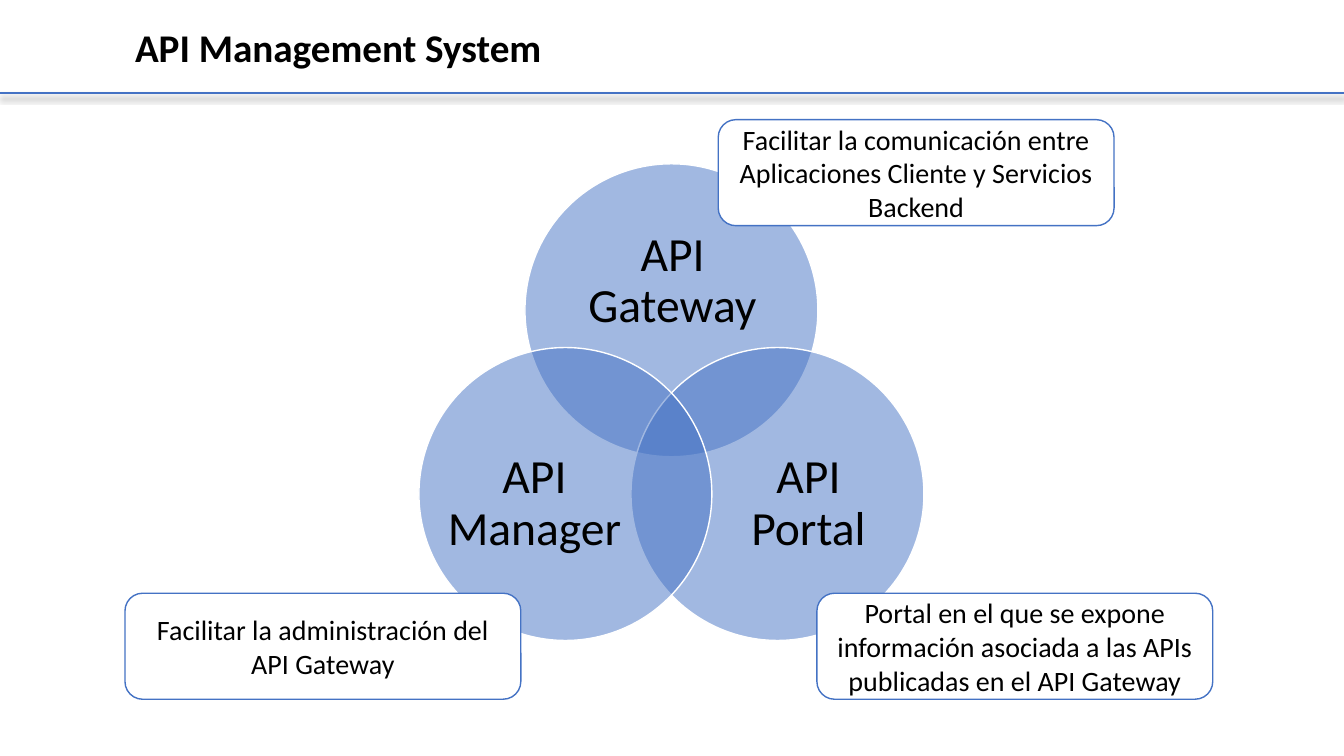
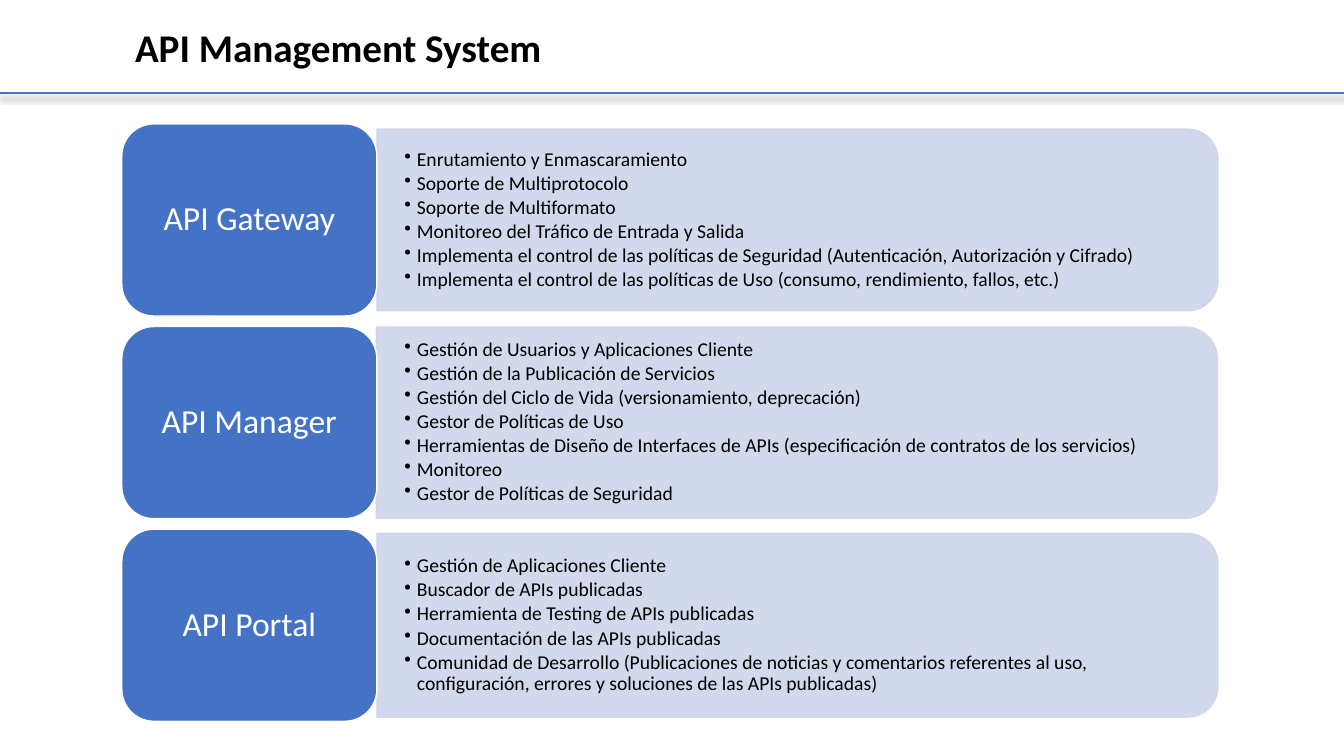
from dataclasses import dataclass

from lxml import etree
from pptx import Presentation
from pptx.dml.color import RGBColor
from pptx.enum.shapes import MSO_CONNECTOR, MSO_SHAPE
from pptx.enum.text import MSO_ANCHOR, MSO_AUTO_SIZE, PP_ALIGN
from pptx.oxml.ns import qn
from pptx.util import Emu, Pt

ELLIPSE, ROUNDED = MSO_SHAPE.OVAL, MSO_SHAPE.ROUNDED_RECTANGLE
TWO_ROUNDED = MSO_SHAPE.ROUND_2_SAME_RECTANGLE
STRAIGHT = MSO_CONNECTOR.STRAIGHT
LEFT, CENTER = PP_ALIGN.LEFT, PP_ALIGN.CENTER
TOP, MIDDLE = MSO_ANCHOR.TOP, MSO_ANCHOR.MIDDLE
NO_AUTOSIZE = MSO_AUTO_SIZE.NONE

FONT = "Calibri"
BLUE, PALE, BLACK, WHITE = "4472C4", "CFD5EA", "000000", "FFFFFF"
SLIDE_W, SLIDE_H = 1280, 720
TITLE = "API Management System"
RULE_Y = 89

CIRCLE_SIZE = 279
NOTE_W, NOTE_H = 377, 101
TAG_LEFT, TAG_TOP, TAG_W, TAG_H, TAG_GAP = 116, 118, 243, 183, 10
PANEL_LEFT, PANEL_W = TAG_LEFT + TAG_W, 801
PANEL_PADDING, BULLET_INDENT = 26, 12


@dataclass(frozen=True)
class Box:
    left: int
    top: int
    width: int
    height: int


@dataclass(frozen=True)
class Paint:
    fill: str
    line: str
    fill_alpha: int = 100
    line_alpha: int = 100


@dataclass(frozen=True)
class Component:
    name: str
    circle: Box
    label: Box
    note: Box
    purpose: str
    features: tuple[str, ...]


CIRCLE_PAINT = Paint(BLUE, WHITE, fill_alpha=50)
NOTE_PAINT = Paint(WHITE, BLUE)
TAG_PAINT = Paint(BLUE, WHITE)
PANEL_PAINT = Paint(PALE, PALE, fill_alpha=90, line_alpha=90)

GATEWAY = Component(
    "API Gateway",
    Box(500, 156, CIRCLE_SIZE, CIRCLE_SIZE),
    Box(538, 205, 205, 126),
    Box(684, 114, NOTE_W, NOTE_H),
    "Facilitar la comunicación entre Aplicaciones Cliente y Servicios Backend",
    (
        "Enrutamiento y Enmascaramiento",
        "Soporte de Multiprotocolo",
        "Soporte de Multiformato",
        "Monitoreo del Tráfico de Entrada y Salida",
        "Implementa el control de las políticas de Seguridad "
        "(Autenticación, Autorización y Cifrado)",
        "Implementa el control de las políticas de Uso "
        "(consumo, rendimiento, fallos, etc.)",
    ),
)
MANAGER = Component(
    "API Manager",
    Box(399, 331, CIRCLE_SIZE, CIRCLE_SIZE),
    Box(425, 403, 168, 154),
    Box(119, 565, NOTE_W, NOTE_H),
    "Facilitar la administración del API Gateway",
    (
        "Gestión de Usuarios y Aplicaciones Cliente",
        "Gestión de la Publicación de Servicios",
        "Gestión del Ciclo de Vida (versionamiento, deprecación)",
        "Gestor de Políticas de Uso",
        "Herramientas de Diseño de Interfaces de APIs "
        "(especificación de contratos de los servicios)",
        "Monitoreo",
        "Gestor de Políticas de Seguridad",
    ),
)
PORTAL = Component(
    "API Portal",
    Box(601, 331, CIRCLE_SIZE, CIRCLE_SIZE),
    Box(686, 403, 168, 154),
    Box(778, 565, NOTE_W, NOTE_H),
    "Portal en el que se expone información asociada a las APIs "
    "publicadas en el API Gateway",
    (
        "Gestión de Aplicaciones Cliente",
        "Buscador de APIs publicadas",
        "Herramienta de Testing de APIs publicadas",
        "Documentación de las APIs publicadas",
        "Comunidad de Desarrollo (Publicaciones de noticias y comentarios "
        "referentes al uso, configuración, errores y soluciones de las APIs publicadas)",
    ),
)
PANEL_HEIGHTS = {GATEWAY: 173, MANAGER: 182, PORTAL: 175}


def px(length: int) -> Emu:
    return Emu(length * 9525)


def rgb(value: str) -> RGBColor:
    return RGBColor.from_string(value)


def place(box: Box) -> tuple[Emu, Emu, Emu, Emu]:
    return px(box.left), px(box.top), px(box.width), px(box.height)


def set_alpha(parent, percent: int) -> None:
    """Make the solid fill directly inside parent translucent."""
    if percent < 100:
        color = parent.find(qn("a:solidFill")).find(qn("a:srgbClr"))
        etree.SubElement(color, qn("a:alpha"), val=str(percent * 1000))


def add_bullet(paragraph) -> None:
    properties = paragraph._p.get_or_add_pPr()
    properties.set("marL", str(px(BULLET_INDENT)))
    properties.set("indent", str(-px(BULLET_INDENT)))
    etree.SubElement(properties, qn("a:buChar"), char="•")


def write(frame, lines: tuple[str, ...], size: int, color: str = BLACK,
          align=CENTER, anchor=MIDDLE, spacing: float = 1.0,
          bold: bool = False, bulleted: bool = False) -> None:
    frame.word_wrap = True
    frame.auto_size = NO_AUTOSIZE
    frame.vertical_anchor = anchor
    for index, line in enumerate(lines):
        paragraph = frame.add_paragraph() if index else frame.paragraphs[0]
        paragraph.text = line
        if bulleted:
            add_bullet(paragraph)
            paragraph.space_after = Pt(2)
        paragraph.alignment = align
        paragraph.line_spacing = spacing
        font = paragraph.font
        font.name, font.size, font.bold = FONT, Pt(size), bold
        font.color.rgb = rgb(color)


def add_shape(slide, kind, box: Box, paint: Paint):
    shape = slide.shapes.add_shape(kind, *place(box))
    shape.shadow.inherit = False
    shape.fill.solid()
    shape.fill.fore_color.rgb = rgb(paint.fill)
    shape.line.color.rgb = rgb(paint.line)
    shape.line.width = Pt(1)
    properties = shape.element.spPr
    set_alpha(properties, paint.fill_alpha)
    set_alpha(properties.find(qn("a:ln")), paint.line_alpha)
    return shape


def add_text_frame(slide, box: Box, side_padding: int = 0):
    frame = slide.shapes.add_textbox(*place(box)).text_frame
    frame.margin_left = frame.margin_right = px(side_padding)
    frame.margin_top = frame.margin_bottom = 0
    return frame


def add_header_rule(slide) -> None:
    rule = slide.shapes.add_connector(STRAIGHT, 0, px(RULE_Y), px(SLIDE_W), px(RULE_Y))
    rule.line.color.rgb = rgb(BLUE)
    rule.line.width = Pt(1.5)
    effects = etree.SubElement(rule.element.spPr, qn("a:effectLst"))
    shadow = etree.SubElement(
        effects, qn("a:outerShdw"), blurRad=str(Pt(4)), dist=str(Pt(3)),
        dir=str(90 * 60000), algn="t", rotWithShape="0",
    )
    color = etree.SubElement(shadow, qn("a:srgbClr"), val=BLACK)
    etree.SubElement(color, qn("a:alpha"), val="40000")


def add_titled_slide(deck):
    slide = deck.slides.add_slide(deck.slide_layouts[5])
    title = slide.shapes.title
    title.left, title.top, title.width, title.height = place(Box(119, 17, 411, 55))
    write(title.text_frame, (TITLE,), 28, align=LEFT, anchor=TOP, bold=True)
    title.text_frame.word_wrap = False
    add_header_rule(slide)
    return slide


def add_circle(slide, component: Component) -> None:
    add_shape(slide, ELLIPSE, component.circle, CIRCLE_PAINT)
    write(add_text_frame(slide, component.label), (component.name,), 34, spacing=0.9)


def add_note(slide, component: Component) -> None:
    note = add_shape(slide, ROUNDED, component.note, NOTE_PAINT)
    write(note.text_frame, (component.purpose,), 20)


def add_feature_row(slide, component: Component, row: int) -> None:
    tag_box = Box(TAG_LEFT, TAG_TOP + row * (TAG_H + TAG_GAP), TAG_W, TAG_H)
    height = PANEL_HEIGHTS[component]
    panel_box = Box(PANEL_LEFT, tag_box.top + (TAG_H - height) // 2, PANEL_W, height)

    # The panel is a quarter turn of a tall shape around the same centre.
    shift = (PANEL_W - height) // 2
    upright = Box(PANEL_LEFT + shift, panel_box.top - shift, height, PANEL_W)
    add_shape(slide, TWO_ROUNDED, upright, PANEL_PAINT).rotation = 90
    write(add_text_frame(slide, panel_box, PANEL_PADDING), component.features, 14,
          align=LEFT, spacing=0.9, bulleted=True)

    tag = add_shape(slide, ROUNDED, tag_box, TAG_PAINT)
    write(tag.text_frame, (component.name,), 24, WHITE, spacing=0.9)


def main() -> None:
    deck = Presentation()
    deck.slide_width, deck.slide_height = px(SLIDE_W), px(SLIDE_H)

    overview = add_titled_slide(deck)
    components = (GATEWAY, PORTAL, MANAGER)
    for component in components:
        add_circle(overview, component)
    for component in components:
        add_note(overview, component)

    features = add_titled_slide(deck)
    for row, component in enumerate((GATEWAY, MANAGER, PORTAL)):
        add_feature_row(features, component, row)

    deck.save("out.pptx")


if __name__ == "__main__":
    main()
